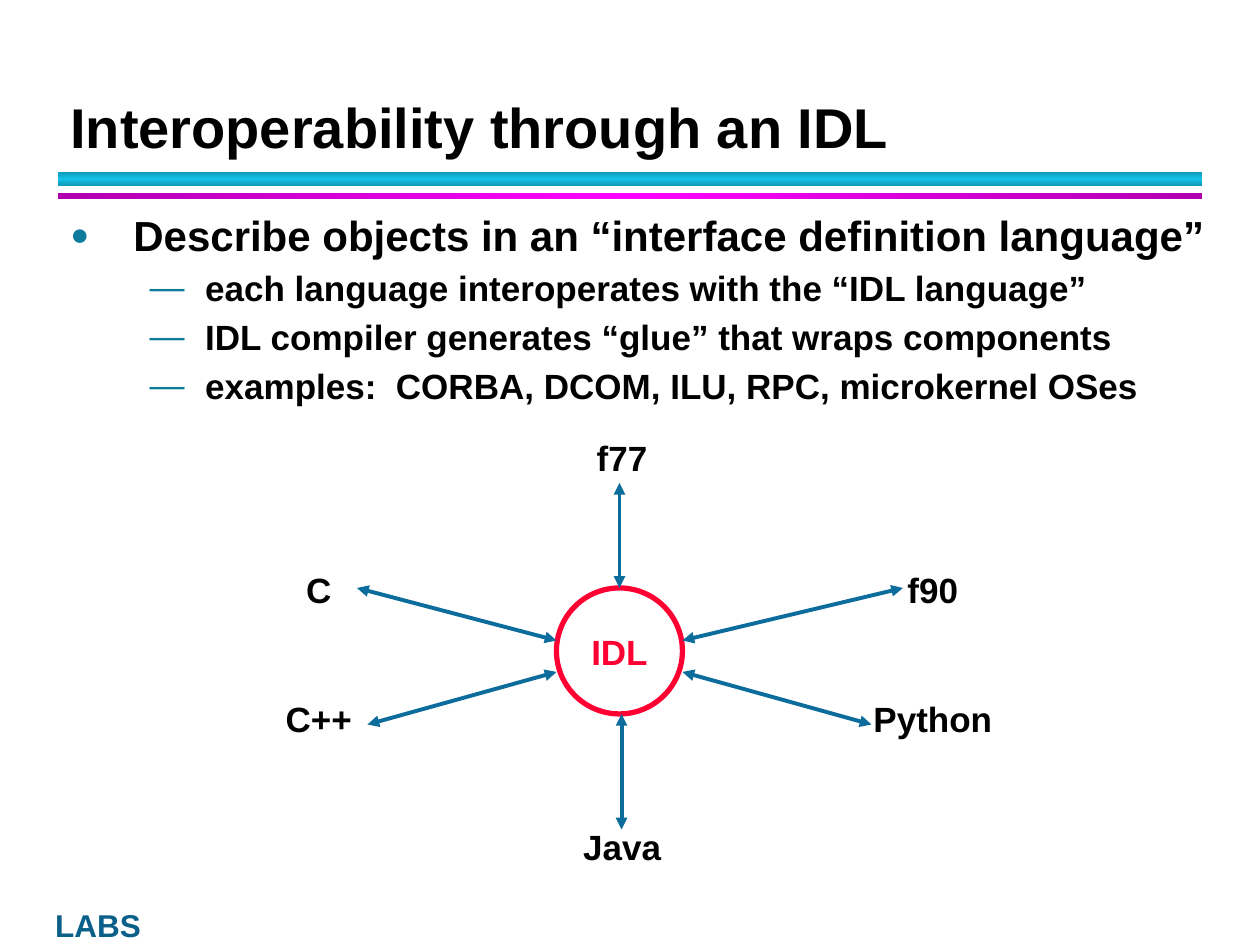
from copy import deepcopy
from typing import NamedTuple

from lxml import etree
from pptx import Presentation
from pptx import util as u
from pptx.dml.color import RGBColor
from pptx.enum import shapes, text
from pptx.oxml.ns import qn

# The slide is a grid of 120 columns by 90 rows, twelve cells to the inch
CELL = u.Inches(1 / 12)
FONT = "Arial"
COLORS = {
    "text": "000000",
    "background": "FFFFFF",
    "footer": "0A6089",
    "bullet": "0C7B9C",
    "arrow": "0C6D9C",
    "idl": "FF0033",
    "cyan_edge": "0E9AB9",
    "cyan_middle": "12C2E9",
    "magenta_edge": "B100B1",
    "magenta_middle": "FF00FF",
}


class Box(NamedTuple):
    column: float
    row: float
    columns: float
    rows: float


class Bar(NamedTuple):
    box: Box
    color: str
    angle: int


class Label(NamedTuple):
    words: str
    center: float
    row: float
    columns: float
    color: str = "text"


class Arrow(NamedTuple):
    start: tuple[float, float]
    end: tuple[float, float]


class Level(NamedTuple):
    size: int
    indent: float
    hanging: float
    before: int
    bullet: str
    bullet_percent: int


BARS = [
    Bar(Box(5.5, 16.4, 109, 1.3), "cyan", 90),
    Bar(Box(5.5, 18.4, 109, 0.6), "magenta", 0),
]
LEVELS = [
    Level(24, 6, 6, 6, "●", 75),
    Level(20, 12.84, 5.28, 0, "—", 100),
]
POINTS = [
    (0, "Describe objects in an “interface definition language”"),
    (1, "each language interoperates with the “IDL language”"),
    (1, "IDL compiler generates “glue” that wraps components"),
    (1, "examples:  CORBA, DCOM, ILU, RPC, microkernel OSes"),
]
LABELS = [
    Label("C", 30.35, 53.55, 4.9),
    Label("C++", 30.35, 65.85, 9),
    Label("f77", 59.25, 41, 7.4),
    Label("f90", 88.85, 53.55, 7.4),
    Label("Python", 88.85, 65.85, 13.9),
    Label("Java", 59.25, 78, 10),
    Label("IDL", 59, 59.45, 8),
]
LABELS[-1] = LABELS[-1]._replace(color="idl")
ARROWS = [
    Arrow((34, 56), (53, 61)),
    Arrow((59, 46), (59, 56)),
    Arrow((65, 61), (86, 56)),
    Arrow((65, 64), (83, 69)),
    Arrow((35, 69), (53, 64)),
    Arrow((59.2, 68), (59.2, 79)),
]


def rgb(name: str) -> RGBColor:
    return RGBColor.from_string(COLORS[name])


def cells(*numbers: float) -> list[int]:
    return [round(number * CELL) for number in numbers]


def place(shape, box: Box) -> None:
    shape.left, shape.top, shape.width, shape.height = cells(*box)


def add_run(paragraph, words: str, size: int, color: str = "text") -> None:
    run = paragraph.add_run()
    run.text = words
    run.font.name = FONT
    run.font.size = u.Pt(size)
    run.font.bold = True
    run.font.color.rgb = rgb(color)


def add_bar(slide, bar: Bar) -> None:
    shape = slide.shapes.add_shape(shapes.MSO_SHAPE.RECTANGLE, *cells(*bar.box))
    shape.shadow.inherit = False
    shape.line.fill.background()
    shape.fill.gradient()
    shape.fill.gradient_angle = bar.angle
    stop_list = shape._element.spPr.find(".//" + qn("a:gsLst"))
    stop_list.insert(1, deepcopy(stop_list[0]))
    for stop, position, part in zip(
        shape.fill.gradient_stops, (0, 0.5, 1), ("edge", "middle", "edge")
    ):
        stop.position = position
        stop.color.rgb = rgb(f"{bar.color}_{part}")


def format_bullet(paragraph, level: Level) -> None:
    properties = paragraph._p.get_or_add_pPr()
    margin, hanging = cells(level.indent, level.hanging)
    properties.set("marL", str(margin))
    properties.set("indent", str(-hanging))
    color = etree.SubElement(properties, qn("a:buClr"))
    etree.SubElement(color, qn("a:srgbClr"), val=COLORS["bullet"])
    etree.SubElement(properties, qn("a:buSzPct"), val=str(level.bullet_percent * 1000))
    etree.SubElement(properties, qn("a:buFont"), typeface=FONT)
    etree.SubElement(properties, qn("a:buChar"), char=level.bullet)


def fill_title(title, words: str) -> None:
    place(title, Box(5.5, 3.95, 108.7, 11.9))
    frame = title.text_frame
    frame.auto_size = text.MSO_AUTO_SIZE.NONE
    frame.vertical_anchor = text.MSO_ANCHOR.BOTTOM
    paragraph = frame.paragraphs[0]
    paragraph.alignment = text.PP_ALIGN.LEFT
    paragraph.line_spacing = u.Pt(36)
    add_run(paragraph, words, 32)


def fill_body(body) -> None:
    place(body, Box(5.5, 19.45, 114.5, 20.5))
    frame = body.text_frame
    frame.auto_size = text.MSO_AUTO_SIZE.NONE
    for index, (depth, words) in enumerate(POINTS):
        paragraph = frame.add_paragraph() if index else frame.paragraphs[0]
        level = LEVELS[depth]
        paragraph.level = depth
        paragraph.line_spacing = u.Pt(28)
        paragraph.space_before = u.Pt(level.before)
        format_bullet(paragraph, level)
        add_run(paragraph, words, level.size)


def add_label(slide, label: Label) -> None:
    left = label.center - label.columns / 2
    box = slide.shapes.add_textbox(*cells(left, label.row, label.columns, 5.3))
    box.text_frame.word_wrap = False
    box.text_frame.auto_size = text.MSO_AUTO_SIZE.SHAPE_TO_FIT_TEXT
    paragraph = box.text_frame.paragraphs[0]
    paragraph.alignment = text.PP_ALIGN.CENTER
    add_run(paragraph, label.words, 20, label.color)


def add_arrow(slide, arrow: Arrow) -> None:
    connector = slide.shapes.add_connector(
        shapes.MSO_CONNECTOR.STRAIGHT, *cells(*arrow.start, *arrow.end)
    )
    connector.line.color.rgb = rgb("arrow")
    connector.line.width = u.Pt(2.25)
    line = connector.line._get_or_add_ln()
    for tip in ("a:headEnd", "a:tailEnd"):
        etree.SubElement(line, qn(tip), type="triangle")
    etree.SubElement(connector._element.spPr, qn("a:effectLst"))


def add_hub(slide) -> None:
    circle = slide.shapes.add_shape(shapes.MSO_SHAPE.OVAL, *cells(53, 56, 12, 12))
    circle.shadow.inherit = False
    circle.fill.solid()
    circle.fill.fore_color.rgb = rgb("background")
    circle.line.color.rgb = rgb("idl")
    circle.line.width = u.Pt(3)


def add_footer(slide, words: str) -> None:
    box = slide.shapes.add_textbox(*cells(5.25, 86.45, 9.2, 3.4))
    frame = box.text_frame
    frame.margin_left = frame.margin_right = frame.margin_top = frame.margin_bottom = 0
    frame.vertical_anchor = text.MSO_ANCHOR.BOTTOM
    frame.word_wrap = True
    frame.paragraphs[0].line_spacing = u.Pt(20)
    add_run(frame.paragraphs[0], words, 18, "footer")


def main() -> None:
    presentation = Presentation()
    presentation.slide_width, presentation.slide_height = cells(120, 90)
    slide = presentation.slides.add_slide(presentation.slide_layouts[1])
    # Frame of the slide
    add_footer(slide, "LABS")
    for bar in BARS:
        add_bar(slide, bar)
    # Title and list
    fill_title(slide.shapes.title, "Interoperability through an IDL")
    fill_body(slide.placeholders[1])
    # Languages around the IDL hub
    add_hub(slide)
    for label in LABELS:
        add_label(slide, label)
    for arrow in ARROWS:
        add_arrow(slide, arrow)
    presentation.save("out.pptx")


if __name__ == "__main__":
    main()
